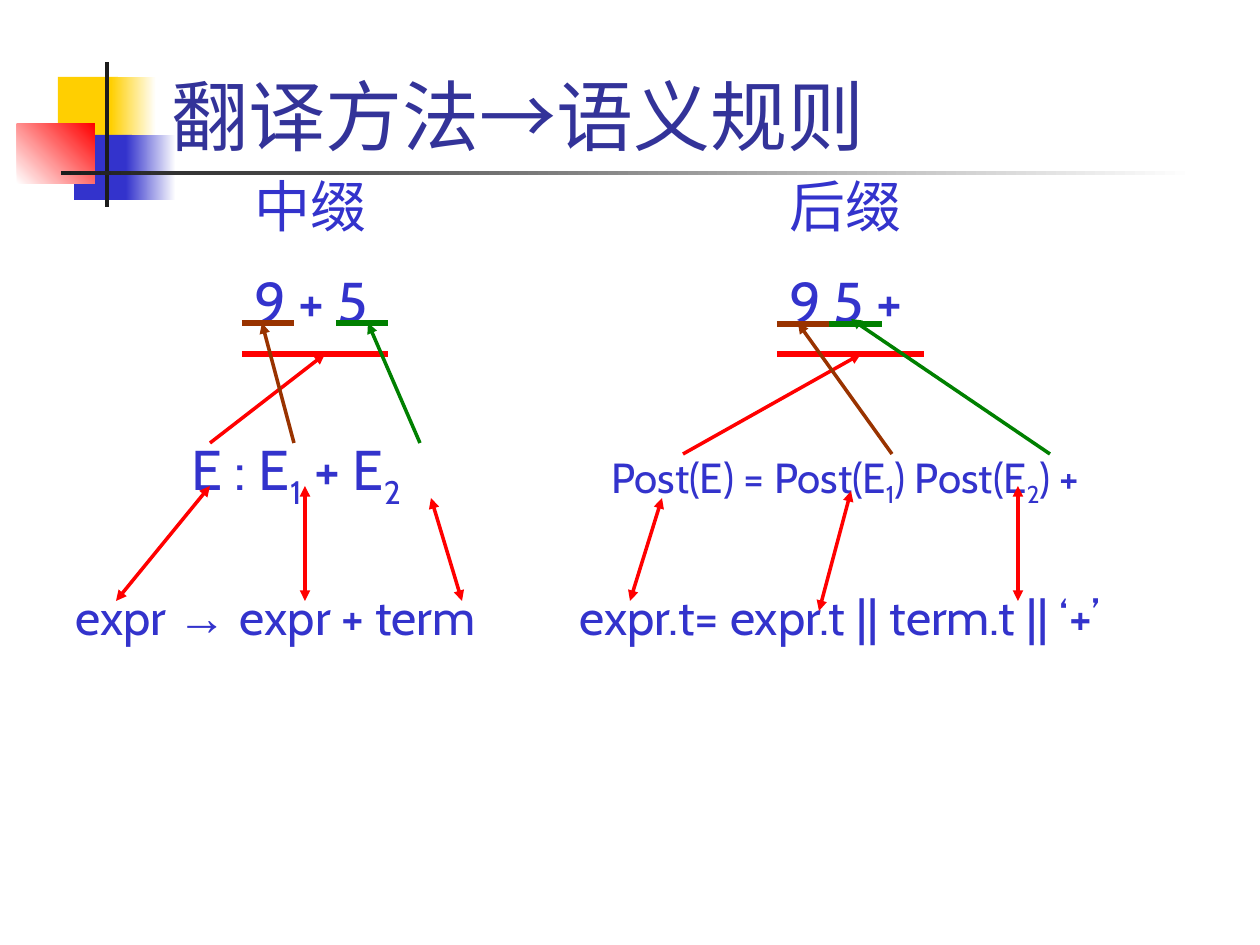
"""Build the slide that maps infix translation to postfix semantic rules."""
from lxml.etree import SubElement
from pptx import Presentation
from pptx.dml.color import RGBColor
from pptx.enum.shapes import MSO_CONNECTOR, MSO_SHAPE
from pptx.enum.text import MSO_ANCHOR, MSO_AUTO_SIZE, PP_ALIGN
from pptx.oxml.ns import qn
from pptx.util import Emu, Pt

PX = 914400 / 126
COLORS = {
    "yellow": "FFCF01", "blue": "3333CC", "red": "FF0000", "white": "FFFFFF",
    "ink": "1C1C1C", "navy": "333399", "brown": "993300", "green": "008000",
}
DECORATION = [
    ((58, 77, 60, 65), ["yellow"], 0),
    ((111, 77, 45, 65), ["yellow", "white"], 0),
    ((74, 135, 58, 65), ["blue"], 0),
    ((126, 135, 50, 65), ["blue", "white"], 0),
    ((17, 124, 78, 60), ["white", "red"], 45),
    ((105, 62, 4, 145), ["ink"], 0),
    ((61, 171, 1134, 4), ["ink", "white"], 0),
]
TITLE = [("翻译方法", "Times New Roman"), ("→", "Arial"), ("语义规则", "Times New Roman")]
TITLE_AREA = (159, 10, 1074, 157)
SUB_1, SUB_2 = ("1", "Cabin", True), ("2", "Cabin", True)
LABELS = [
    ((242, 165, 210, 81), 32, [("中缀",)]),
    ((777, 165, 210, 81), 32, [("后缀",)]),
    ((242, 260, 210, 81), 32, [("9 + 5",)]),
    ((777, 260, 210, 81), 32, [("9 5 +",)]),
    ((179, 428, 315, 89), 32, [("E : E",), SUB_1, (" + E",), SUB_2]),
    ((599, 445, 577, 71), 24,
     [("Post(E) = Post(E",), SUB_1, (") Post(E",), SUB_2, (") +",)]),
    ((63, 580, 546, 72), 28, [("expr ",), ("→ ", "Arial"), ("expr + term",)]),
    ((567, 580, 668, 131), 28, [("expr.t= expr.t || term.t || ‘+’",)]),
]
UNDERLINES = [
    ("red", 242, 388, 354), ("brown", 242, 294, 323), ("green", 336, 388, 323),
    ("red", 777, 924, 354), ("brown", 777, 829, 324), ("green", 829, 882, 324),
]
ARROWS = [
    ("red", (210, 443), (325, 354)),
    ("brown", (294, 443), (262, 323)),
    ("green", (420, 443), (368, 323)),
    ("red", (683, 454), (861, 354)),
    ("brown", (892, 454), (798, 323)),
    ("green", (1050, 454), (851, 319)),
]
LINKS = [
    ((116, 601), (210, 486)), ((305, 601), (305, 486)), ((462, 601), (431, 498)),
    ((630, 601), (662, 498)), ((819, 611), (851, 491)), ((1018, 601), (1018, 486)),
]


def px(*lengths):
    return [Emu(round(length * PX)) for length in lengths]


def rgb(name):
    return RGBColor.from_string(COLORS[name])


def add_span(para, text, font="Cabin", subscript=False, *, size, color):
    span = para.add_run()
    span.text = text
    span.font.name = font
    span.font.size = Pt(size)
    span.font.color.rgb = rgb(color)
    if subscript:
        span.font._element.set("baseline", "-25000")


def add_block(page, area, colors, angle):
    block = page.shapes.add_shape(MSO_SHAPE.RECTANGLE, *px(*area))
    block.shadow.inherit = False
    block.line.fill.background()
    if len(colors) == 1:
        block.fill.solid()
        block.fill.fore_color.rgb = rgb(colors[0])
        return
    block.fill.gradient()
    block.fill.gradient_angle = angle
    for stop, color in zip(block.fill.gradient_stops, colors):
        stop.color.rgb = rgb(color)


def add_label(page, area, size, spans):
    box = page.shapes.add_textbox(*px(*area))
    frame = box.text_frame
    frame.word_wrap = True
    frame.auto_size = MSO_AUTO_SIZE.SHAPE_TO_FIT_TEXT
    for span in spans:
        add_span(frame.paragraphs[0], *span, size=size, color="blue")


def add_line(page, start, end, color, width, ends=()):
    line = page.shapes.add_connector(MSO_CONNECTOR.STRAIGHT, *px(*start, *end))
    line.line.color.rgb = rgb(color)
    line.line.width = Pt(width)
    for end_name in ends:
        SubElement(line.line._get_or_add_ln(), qn(f"a:{end_name}"), type="triangle")
    SubElement(line._element.spPr, qn("a:effectLst"))


def set_title(page):
    title = page.shapes.title
    title.left, title.top, title.width, title.height = px(*TITLE_AREA)
    frame = title.text_frame
    frame.vertical_anchor = MSO_ANCHOR.BOTTOM
    frame.word_wrap = True
    para = frame.paragraphs[0]
    para.alignment = PP_ALIGN.LEFT
    for span in TITLE:
        add_span(para, *span, size=44, color="navy")


def main():
    deck = Presentation()
    deck.slide_width, deck.slide_height = px(1260, 945)
    page = deck.slides.add_slide(deck.slide_layouts[5])
    for area, colors, angle in DECORATION:
        add_block(page, area, colors, angle)
    set_title(page)
    for label in LABELS:
        add_label(page, *label)
    for color, left, right, y in UNDERLINES:
        add_line(page, (left, y), (right, y), color, 3)
    for color, start, end in ARROWS:
        add_line(page, start, end, color, 2, ["tailEnd"])
    for start, end in LINKS:
        add_line(page, start, end, "red", 2, ["headEnd", "tailEnd"])
    deck.save("out.pptx")


if __name__ == "__main__":
    main()
